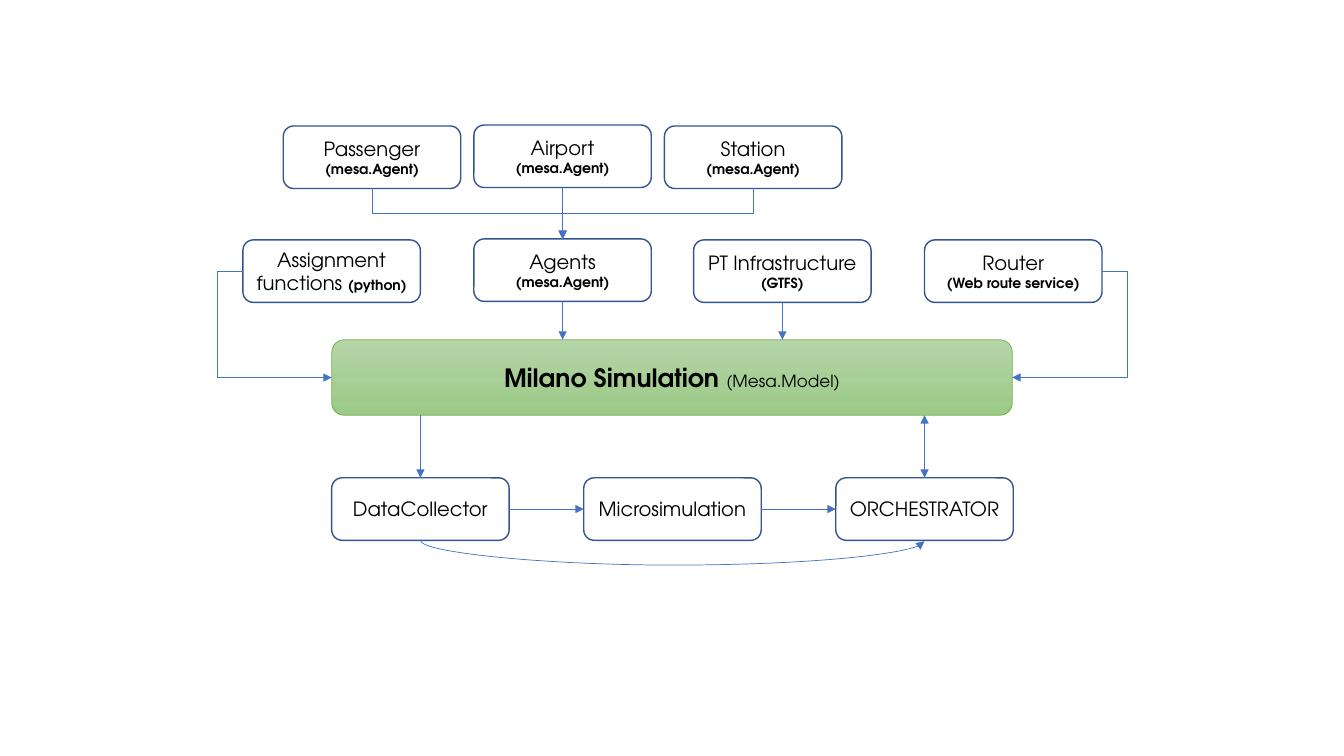
import pptx
import pptx.util
import pptx.dml.color
import pptx.enum.shapes
import pptx.enum.text
import pptx.oxml.ns
import lxml.etree

Inches, Pt = pptx.util.Inches, pptx.util.Pt
KIND = pptx.enum.shapes.MSO_CONNECTOR
FONT = "TeX Gyre Adventor"
COLORS = {"ink": "000000", "box": "FFFFFF", "edge": "325491", "link": "4472C4",
          "model": "70AD47", "light": "B5D5A7", "dark": "9CC987"}

# Each box: name, note, left, top
WIDE, HIGH = 1.76, 0.62
BOXES = [
    ("Passenger", "(mesa.Agent)", 2.81, 1.25),
    ("Airport", "(mesa.Agent)", 4.7, 1.24),
    ("Station", "(mesa.Agent)", 6.59, 1.25),
    ("Assignment functions ", "(python)", 2.41, 2.38),
    ("Agents", "(mesa.Agent)", 4.7, 2.37),
    ("PT Infrastructure", "(GTFS)", 6.88, 2.38),
    ("Router", "(Web route service)", 9.17, 2.38),
    ("DataCollector", "", 3.29, 4.74),
    ("Microsimulation", "", 5.79, 4.74),
    ("ORCHESTRATOR", "", 8.29, 4.74),
]
INLINE = {"Assignment functions "}
MODEL = (3.29, 3.37, 6.75, 0.75)
BEND = 0.25

prs = pptx.Presentation()
prs.slide_width, prs.slide_height = Inches(13.33), Inches(7.5)
slide = prs.slides.add_slide(prs.slide_layouts[6])


def rgb(name):
    return pptx.dml.color.RGBColor.from_string(COLORS[name])


def write(para, text, size=14, bold=False):
    run = para.add_run()
    run.text = text
    run.font.name, run.font.size, run.font.bold = FONT, Pt(size), bold
    run.font.color.rgb = rgb("ink")


def frame(left, top, width, height, edge="edge", weight=1):
    """Add a rounded box; return it with its first, centred paragraph."""
    shape = slide.shapes.add_shape(
        pptx.enum.shapes.MSO_SHAPE.ROUNDED_RECTANGLE,
        *map(Inches, (left, top, width, height)))
    shape.shadow.inherit = False
    shape.fill.solid()
    shape.fill.fore_color.rgb = rgb("box")
    shape.line.color.rgb, shape.line.width = rgb(edge), Pt(weight)
    body = shape.text_frame
    body.word_wrap = True
    body.vertical_anchor = pptx.enum.text.MSO_ANCHOR.MIDDLE
    para = body.paragraphs[0]
    para.alignment = pptx.enum.text.PP_ALIGN.CENTER
    return shape, para


def link(start, end, kind=KIND.STRAIGHT, bend=None, down=False, both=False):
    """Draw an arrow; bend is the first leg's length, down makes it vertical."""
    (x1, y1), (x2, y2) = start, end
    span = abs(x2 - x1)
    turn = 0
    if down:
        # Lay the frame on its side about its centre, then rotate it
        span, side = abs(y2 - y1), abs(x2 - x1)
        midx, midy = (x1 + x2) / 2, (y1 + y2) / 2
        turn, sign = (270, -1) if x2 > x1 else (90, 1)
        x1, x2 = midx - sign * span / 2, midx + sign * span / 2
        y1, y2 = midy - side / 2, midy + side / 2
    line = slide.shapes.add_connector(kind, *map(Inches, (x1, y1, x2, y2)))
    line.line.color.rgb, line.line.width = rgb("link"), Pt(0.5)
    props = line._element.spPr
    qn = pptx.oxml.ns.qn
    if turn:
        props.find(qn("a:xfrm")).set("rot", str(turn * 60000))
    if bend is not None:
        guides = props.find(qn("a:prstGeom")).get_or_add_avLst()
        lxml.etree.SubElement(guides, qn("a:gd"), name="adj1",
                              fmla=f"val {round(bend / span * 100000)}")
    stroke = line.line._get_or_add_ln()
    for tag in ["a:headEnd"] * both + ["a:tailEnd"]:
        lxml.etree.SubElement(stroke, qn(tag), type="triangle")
    lxml.etree.SubElement(props, qn("a:effectLst"))


left, top, width, height = MODEL
right, base, mid = left + width, top + height, top + height / 2
model, para = frame(*MODEL, edge="model", weight=0.5)
model.fill.gradient()
model.fill.gradient_angle = 270
for stop, name in zip(model.fill.gradient_stops, ("light", "dark")):
    stop.color.rgb = rgb(name)
write(para, "Milano Simulation ", size=18, bold=True)
write(para, "(Mesa.Model)", size=12)

spots = {}
for name, note, x, y in BOXES:
    shape, para = frame(x, y, WIDE, HIGH)
    write(para, name)
    if note:
        if name not in INLINE:
            para = shape.text_frame.add_paragraph()
            para.alignment = pptx.enum.text.PP_ALIGN.CENTER
        write(para, note, size=10, bold=True)
    cx, cy = x + WIDE / 2, y + HIGH / 2
    spots[name.strip()] = {"top": (cx, y), "foot": (cx, y + HIGH),
                           "left": (x, cy), "right": (x + WIDE, cy)}

agents = spots["Agents"]["top"]
for name in ("Passenger", "Station"):
    link(spots[name]["foot"], agents, KIND.ELBOW, bend=BEND, down=True)
link(spots["Airport"]["foot"], agents)
for name in ("Agents", "PT Infrastructure"):
    foot = spots[name]["foot"]
    link(foot, (foot[0], top))
link(spots["Assignment functions"]["left"], (left, mid), KIND.ELBOW, bend=-BEND)
link(spots["Router"]["right"], (right, mid), KIND.ELBOW, bend=-BEND)

data, micro, orch = (spots[n] for n in ("DataCollector", "Microsimulation", "ORCHESTRATOR"))
link((data["top"][0], base), data["top"])
link((orch["top"][0], base), orch["top"], both=True)
link(data["right"], micro["left"])
link(micro["right"], orch["left"])
x, y = orch["foot"]
link(data["foot"], (x, y + 0.01), KIND.CURVE, bend=BEND, down=True)

prs.save("out.pptx")
